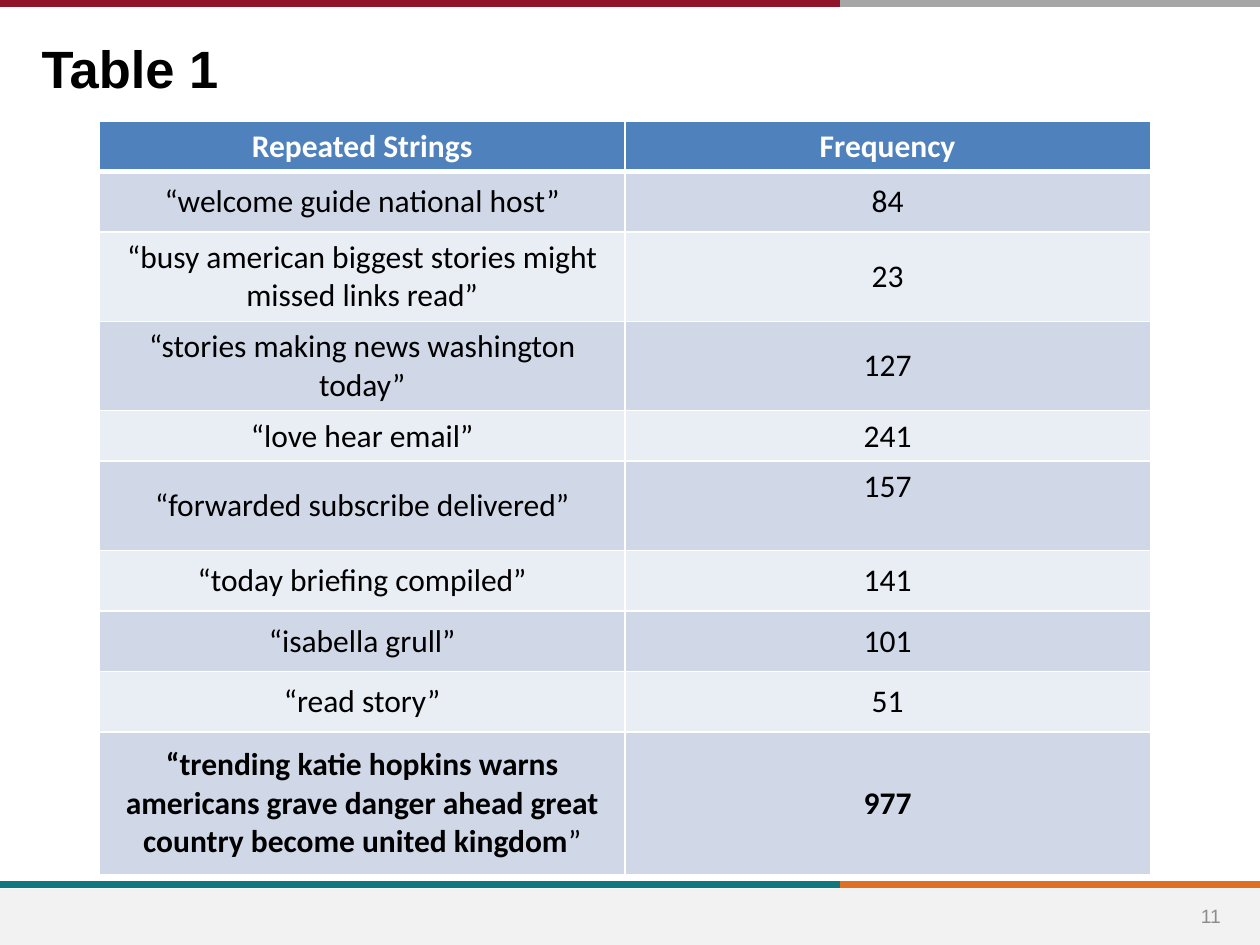
from lxml import etree
from pptx import Presentation
from pptx.dml.color import RGBColor
from pptx.enum import shapes, text
from pptx.oxml.ns import qn
from pptx.util import Inches, Pt

HEADER = ("Repeated Strings", "Frequency")
# string, frequency, row height
ROWS = [
    ("“welcome guide national host”", "84", 0.48),
    ("“busy american biggest stories might missed links read”", "23", 0.71),
    ("“stories making news washington today”", "127", 0.71),
    ("“love hear email”", "241", 0.4),
    ("“forwarded subscribe delivered”", "157", 0.71),
    ("“today briefing compiled”", "141", 0.48),
    ("“isabella grull”", "101", 0.48),
    ("“read story”", "51", 0.48),
    ("“trending katie hopkins warns americans grave danger ahead great "
     "country become united kingdom”", "977", 1.13),
]
HEADER_HEIGHT = 0.4
TOP_ALIGNED = "157"
SPLIT = 6.67
# left colour, right colour, height on the page
RULES = [("0F787D", "DF7023", 7.02), ("90152A", "A6A6A6", 0.03)]


def color(value):
    return RGBColor.from_string(value)


def write(frame, words, size=18, font="Calibri", fill="000000", bold=False,
          align=text.PP_ALIGN.CENTER):
    para = frame.paragraphs[0]
    para.alignment = align
    span = para.add_run()
    span.text = words
    span.font.size, span.font.name, span.font.bold = Pt(size), font, bold
    span.font.color.rgb = color(fill)
    return para


def add_rule(page, start, end, y, fill):
    rule = page.shapes.add_connector(
        shapes.MSO_CONNECTOR.STRAIGHT, Inches(start), Inches(y), Inches(end), Inches(y))
    rule.line.color.rgb = color(fill)
    rule.line.width = Pt(4)
    etree.SubElement(rule._element.spPr, qn("a:effectLst"))


def style_cell(cell, fill, bottom=1, top=1):
    cell.fill.solid()
    cell.fill.fore_color.rgb = color(fill)
    cell.vertical_anchor = text.MSO_ANCHOR.MIDDLE
    widths = {"a:lnL": 1, "a:lnR": 1, "a:lnT": top, "a:lnB": bottom}
    for index, (tag, width) in enumerate(widths.items()):
        border = etree.Element(qn(tag), w=str(Pt(width)))
        paint = etree.SubElement(border, qn("a:solidFill"))
        etree.SubElement(paint, qn("a:srgbClr"), val="FFFFFF")
        cell._tc.get_or_add_tcPr().insert(index, border)


def add_frequency_table(page):
    heights = [HEADER_HEIGHT] + [row[2] for row in ROWS]
    table = page.shapes.add_table(
        len(heights), 2, Inches(0.79), Inches(0.96), Inches(8.34), Inches(sum(heights))).table
    for row, height in zip(table.rows, heights):
        row.height = Inches(height)
    for cell, words in zip(table.rows[0].cells, HEADER):
        style_cell(cell, "4F81BD", bottom=3)
        write(cell.text_frame, words, fill="FFFFFF", bold=True)
    for number, (phrase, frequency, _) in enumerate(ROWS, 1):
        last = number == len(ROWS)
        for cell, words in zip(table.rows[number].cells, (phrase, frequency)):
            style_cell(cell, "D0D8E8" if number % 2 else "E9EDF4",
                       top=3 if number == 1 else 1)
            if words == TOP_ALIGNED:
                cell.vertical_anchor = text.MSO_ANCHOR.TOP
            if last and words == phrase:
                write(cell.text_frame, words[:-1], bold=True)
                write(cell.text_frame, words[-1])
            else:
                write(cell.text_frame, words, bold=last)


def main():
    deck = Presentation()
    deck.slide_width, deck.slide_height = Inches(10), Inches(7.5)
    page = deck.slides.add_slide(deck.slide_layouts[5])

    for left_fill, right_fill, y in RULES:
        add_rule(page, SPLIT, 10, y, right_fill)
        add_rule(page, 0, SPLIT, y, left_fill)

    footer = page.shapes.add_shape(
        shapes.MSO_SHAPE.RECTANGLE, Inches(0), Inches(7.05), Inches(10), Inches(0.45))
    footer.shadow.inherit = False
    footer.fill.solid()
    footer.fill.fore_color.rgb = color("F2F2F2")
    footer.line.fill.background()

    page_number = page.shapes.add_textbox(
        Inches(9.35), Inches(7.07), Inches(0.52), Inches(0.4)).text_frame
    page_number.word_wrap = True
    page_number.vertical_anchor = text.MSO_ANCHOR.MIDDLE
    write(page_number, "11", size=11, font="Arial", fill="8C8C8C")

    title = page.shapes.title
    title.left, title.top = Inches(0.23), Inches(0.24)
    title.width, title.height = Inches(7.99), Inches(0.59)
    title.text_frame.auto_size = text.MSO_AUTO_SIZE.NONE
    write(title.text_frame, "Table 1", size=30, font="Arial", bold=True,
          align=text.PP_ALIGN.LEFT)

    add_frequency_table(page)
    deck.save("out.pptx")


if __name__ == "__main__":
    main()
